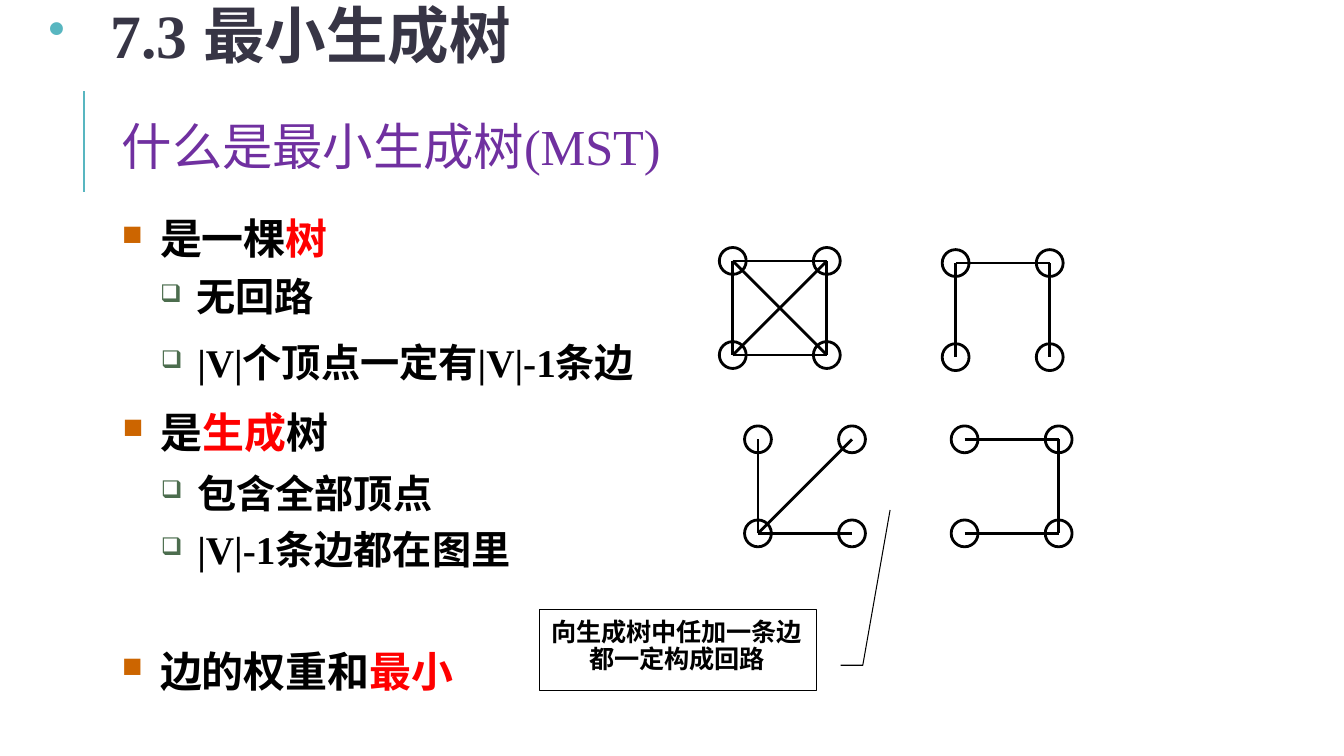
"""Builds the slide that explains minimum spanning trees."""
from lxml.etree import SubElement
from pptx import Presentation
from pptx.dml.color import RGBColor
from pptx.enum.shapes import MSO_CONNECTOR as Connector, MSO_SHAPE as Preset
from pptx.enum.text import MSO_ANCHOR as Anchor, PP_ALIGN as Align
from pptx.oxml.ns import qn
from pptx.util import Pt

SERIF, SANS = "Times New Roman", "Noto Sans CJK SC"
BLACK, RED, TEAL = "000000", "FF0000", "58B6C0"
SIDE, NODE = 67.2, 19.2
CORNERS = [(0, 0), (SIDE, 0), (0, SIDE), (SIDE, SIDE)]
GRAPHS = [
    (523.4, 186.4, [(0, 1), (0, 2), (0, 3), (1, 2), (1, 3), (2, 3)]),
    (682.6, 187.9, [(0, 1), (0, 2), (1, 3)]),
    (541.4, 313.8, [(0, 2), (1, 2), (2, 3)]),
    (689, 313.8, [(0, 1), (1, 3), (2, 3)]),
]
SQUARE = dict(indent=(28, -27.4), bullet=("■", "CC6500", 67), font=SANS, size=30, spacing=-0.1)
BOX = dict(indent=(54, -26), bullet=("❑", "4C6D4E", 62), font=SERIF, size=28)


def color(value):
    return RGBColor.from_string(value)


class SlideBuilder:
    def __init__(self, slide):
        self.slide = slide
        self.line_color = BLACK

    def outline(self, shape, width):
        shape.shadow.inherit = False
        shape.fill.background()
        shape.line.color.rgb = color(self.line_color)
        shape.line.width = Pt(width)

    def line(self, start, end, width=2, line_color=BLACK):
        connector = self.slide.shapes.add_connector(
            Connector.STRAIGHT, *[Pt(value) for value in (*start, *end)])
        connector.line.color.rgb = color(line_color)
        connector.line.width = Pt(width)
        SubElement(connector._element.spPr, qn("a:effectLst"))

    def shape(self, preset, bounds, width=2):
        shape = self.slide.shapes.add_shape(preset, *[Pt(value) for value in bounds])
        self.outline(shape, width)
        return shape

    def polyline(self, points, width):
        first, *others = [(Pt(x), Pt(y)) for x, y in points]
        builder = self.slide.shapes.build_freeform(*first)
        builder.add_line_segments(others, close=False)
        self.outline(builder.convert_to_shape(), width)

    def text(self, bounds, paragraphs, **frame_values):
        textbox = self.slide.shapes.add_textbox(*[Pt(value) for value in bounds])
        self.fill_text(textbox.text_frame, paragraphs, **frame_values)

    def fill_text(self, frame, paragraphs, margins=(0, 0, 0, 0), anchor=Anchor.TOP):
        left, top, right, bottom = [Pt(value) for value in margins]
        values = dict(word_wrap=True, vertical_anchor=anchor, margin_left=left,
                      margin_top=top, margin_right=right, margin_bottom=bottom)
        for name, value in values.items():
            setattr(frame, name, value)
        for index, (runs, style) in enumerate(paragraphs):
            paragraph = frame.add_paragraph() if index else frame.paragraphs[0]
            self.fill_paragraph(paragraph, runs, **style)

    def fill_paragraph(self, paragraph, runs, font, size, indent=(0, 0), bullet=None,
                       before=0, leading=0.9, bold=True, spacing=0):
        values = dict(alignment=Align.LEFT, line_spacing=leading,
                      space_before=Pt(before), space_after=Pt(0))
        for name, value in values.items():
            setattr(paragraph, name, value)
        properties = paragraph._p.get_or_add_pPr()
        for name, value in zip(("marL", "indent"), indent):
            properties.set(name, str(Pt(value)))
        if bullet:
            symbol, bullet_color, percent = bullet
            holder = SubElement(properties, qn("a:buClr"))
            SubElement(holder, qn("a:srgbClr"), val=bullet_color)
            SubElement(properties, qn("a:buSzPct"), val=str(percent * 1000))
            SubElement(properties, qn("a:buChar"), char=symbol)
        for words, run_color in runs:
            run = paragraph.add_run()
            run.text = words
            for name, value in dict(name=font, size=Pt(size), bold=bold).items():
                setattr(run.font, name, value)
            run.font.color.rgb = color(run_color)
            run_properties = run._r.get_or_add_rPr()
            run_properties.set("spc", str(round(spacing * 100)))
            SubElement(run_properties, qn("a:ea"), typeface=SANS)

    def graph(self, left, top, edges):
        nodes = [(left + x, top + y) for x, y in CORNERS]
        for start, end in edges:
            self.line(nodes[start], nodes[end])
        for x, y in nodes:
            self.shape(Preset.OVAL, (x - NODE / 2, y - NODE / 2, NODE, NODE))


def main():
    presentation = Presentation()
    presentation.slide_width, presentation.slide_height = Pt(960), Pt(540)
    slide = presentation.slides.add_slide(presentation.slide_layouts[6])
    builder = SlideBuilder(slide)

    builder.line((60, 137), (60, 65), 1.5, TEAL)
    builder.text((27.4, 0, 796, 66), [
        ([("7.3 最小生成树", "373545")],
         dict(font=SERIF, size=44, indent=(44.6, -44.6), bullet=("•", TEAL, 80))),
    ], margins=(7.2, 3.6, 7.2, 3.6))
    builder.text((86.4, 81.4, 783, 44.6), [
        ([("什么是最小生成树(MST)", "7030A0")],
         dict(font=SERIF, size=36, indent=(0.7, 0), bold=False, leading=1.0, spacing=-0.1)),
    ], anchor=Anchor.MIDDLE)

    builder.text((86.4, 141, 149, 99.4), [
        ([("是一棵", BLACK), ("树", RED)], SQUARE),
        ([("无回路", BLACK)], BOX | dict(before=10)),
    ], margins=(0, 15.1, 0, 0))
    builder.text((87, 229, 446.4, 205), [
        ([("|V|个顶点一定有|V|-1条边", BLACK)], BOX),
        ([("是", BLACK), ("生成", RED), ("树", BLACK)], SQUARE | dict(before=18.5)),
        ([("包含全部顶点", BLACK)], BOX | dict(before=12)),
        ([("|V|-1条边都在图里", BLACK)], BOX | dict(before=10)),
    ], margins=(0, 16.6, 0, 0))
    builder.text((86.4, 464.4, 239, 38.2), [
        ([("边的权重和", BLACK), ("最小", RED)], SQUARE),
    ], margins=(0, 0.7, 0, 0))

    for left, top, edges in GRAPHS:
        builder.graph(left, top, edges)

    builder.polyline([(635.8, 364.3), (616.3, 475.2), (600.5, 475.2)], 0.75)
    callout = builder.shape(Preset.RECTANGLE, (385.2, 435.6, 198, 57.6), 0.75)
    builder.fill_text(callout.text_frame, [
        ([("向生成树中任加一条边 都一定构成回路", BLACK)],
         dict(font=SANS, size=18, indent=(36, -27.4), leading=0.87, spacing=-0.1)),
    ], margins=(0, 7.9, 0, 0))

    presentation.save("out.pptx")


if __name__ == "__main__":
    main()
